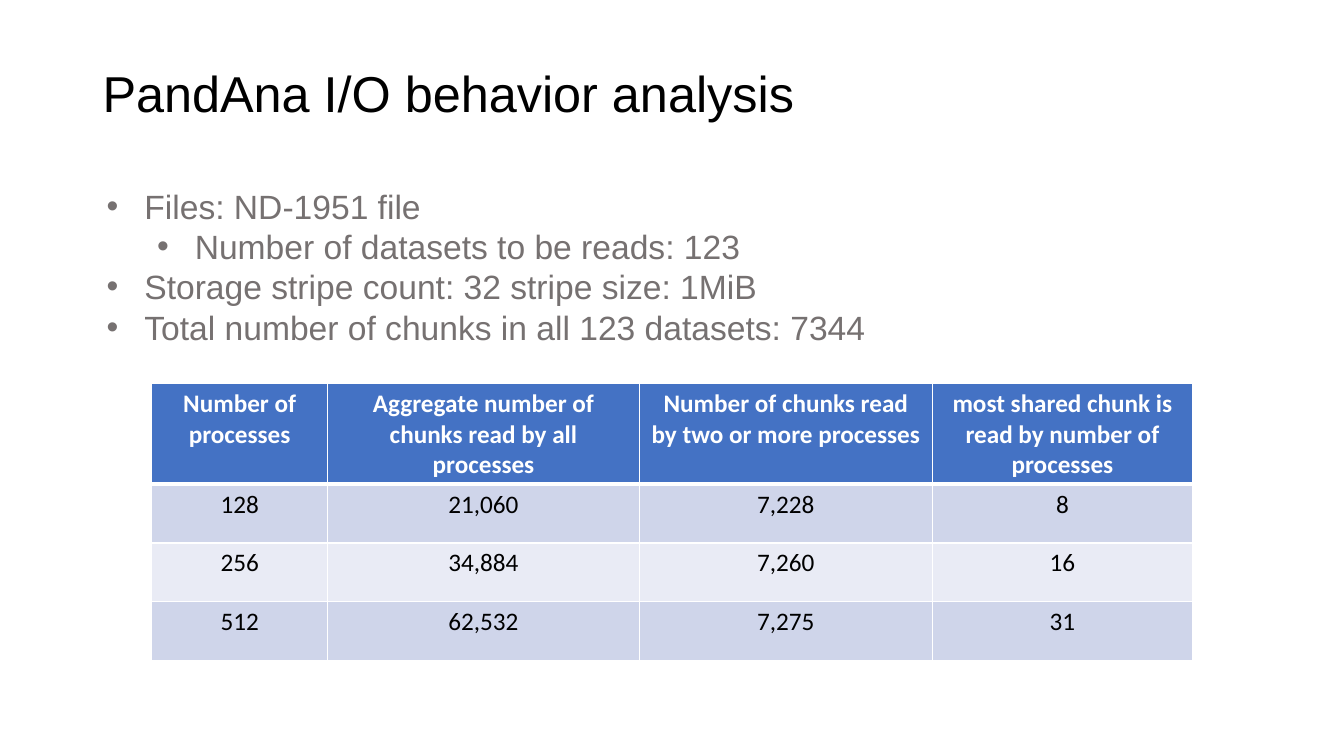
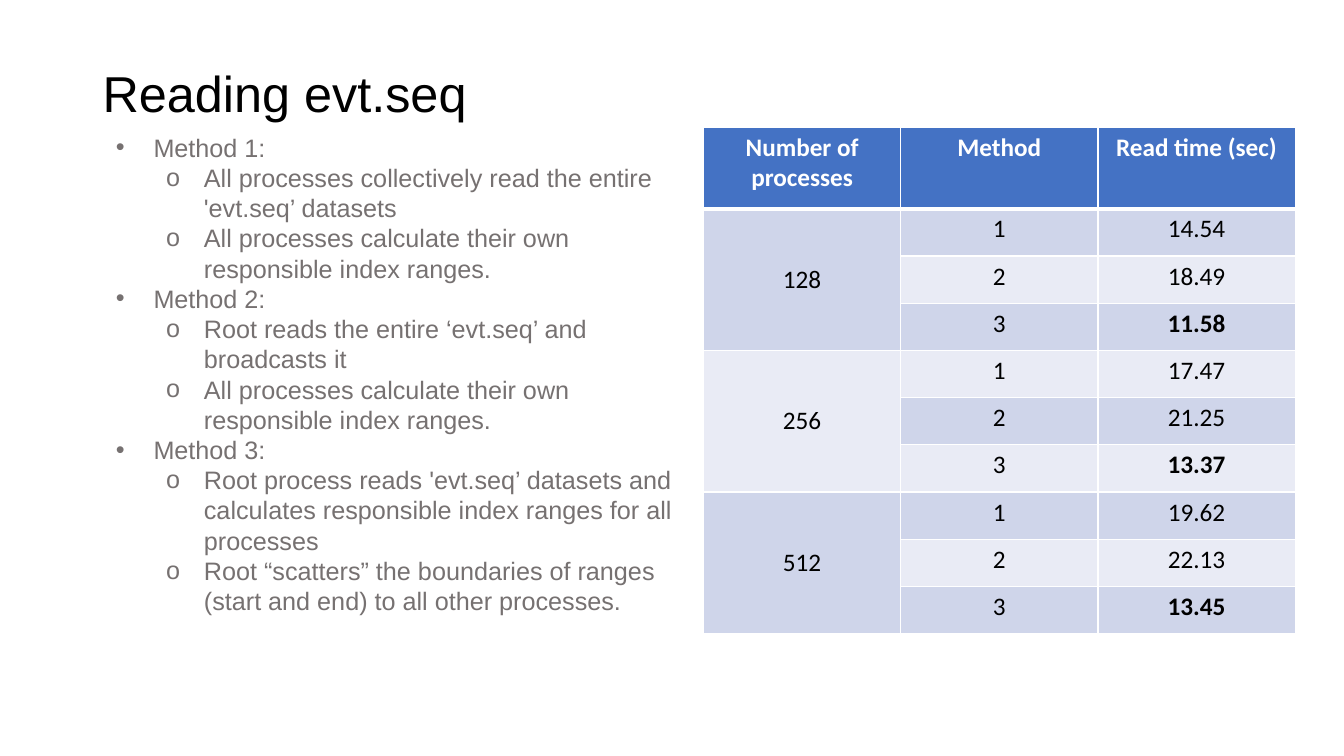
from dataclasses import dataclass

from lxml.etree import SubElement
from pptx import Presentation
from pptx.dml.color import RGBColor
from pptx.enum.text import MSO_ANCHOR, MSO_AUTO_SIZE, PP_ALIGN
from pptx.oxml.ns import qn
from pptx.util import Cm, Pt


@dataclass(frozen=True)
class Theme:
    black: RGBColor = RGBColor(0x00, 0x00, 0x00)
    white: RGBColor = RGBColor(0xFF, 0xFF, 0xFF)
    grey: RGBColor = RGBColor(0x76, 0x71, 0x71)
    header: RGBColor = RGBColor(0x44, 0x72, 0xC4)
    dark_band: RGBColor = RGBColor(0xCF, 0xD5, 0xEA)
    light_band: RGBColor = RGBColor(0xE9, 0xEB, 0xF5)
    text_font: str = "Arial"
    table_font: str = "Calibri"
    title_size: Pt = Pt(36)
    large_size: Pt = Pt(24)
    body_size: Pt = Pt(18)
    thin_line: Pt = Pt(1)
    thick_line: Pt = Pt(3)


theme = Theme()


def set_format(target, color=None, **values):
    for name, value in values.items():
        setattr(target, name, value)
    if color is not None:
        target.color.rgb = color


def add_styled_table(page, left, top, widths, heights, rows):
    table = page.shapes.add_table(
        len(rows), len(widths), Cm(left), Cm(top), Cm(sum(widths)), Cm(sum(heights))
    ).table
    table.horz_banding = False
    for column, width in zip(table.columns, widths):
        column.width = Cm(width)
    for index, (row, height, texts) in enumerate(zip(table.rows, heights, rows)):
        row.height = Cm(height)
        is_header = index == 0
        band = theme.dark_band if index % 2 else theme.light_band
        borders = {
            "a:lnL": theme.thin_line,
            "a:lnR": theme.thin_line,
            "a:lnT": theme.thick_line if index == 1 else theme.thin_line,
            "a:lnB": theme.thick_line if is_header else theme.thin_line,
        }
        for cell, text in zip(row.cells, texts):
            properties = cell._tc.get_or_add_tcPr()
            for tag, width in borders.items():
                line = SubElement(properties, qn(tag), w=str(int(width)))
                fill = SubElement(line, qn("a:solidFill"))
                SubElement(fill, qn("a:srgbClr"), val=str(theme.white))
            cell.fill.solid()
            cell.fill.fore_color.rgb = theme.header if is_header else band
            cell.text = text
            para = cell.text_frame.paragraphs[0]
            para.alignment = PP_ALIGN.CENTER
            for span in para.runs:
                set_format(
                    span.font,
                    name=theme.table_font,
                    size=theme.body_size,
                    bold=is_header,
                    color=theme.white if is_header else theme.black,
                )
    return table


slides = [
    {
        "title": "PandAna I/O behavior analysis",
        "place": (1.17, 4.55, 27.03, 4.37),
        "size": theme.large_size,
        "bullets": "••",
        "items": [
            (0, "Files: ND-1951 file"),
            (1, "Number of datasets to be reads: 123"),
            (0, "Storage stripe count: 32 stripe size: 1MiB"),
            (0, "Total number of chunks in all 123 datasets: 7344"),
        ],
    },
    {
        "title": "Reading evt.seq",
        "place": (1.4, 3.2, 16.33, 12.57),
        "size": theme.body_size,
        "bullets": "•o",
        "items": [
            (0, "Method 1:"),
            (1, "All processes collectively read the entire 'evt.seq’ datasets"),
            (1, "All processes calculate their own responsible index ranges."),
            (0, "Method 2:"),
            (1, "Root reads the entire ‘evt.seq’ and broadcasts it"),
            (1, "All processes calculate their own responsible index ranges."),
            (0, "Method 3:"),
            (1, "Root process reads 'evt.seq’ datasets and calculates "
                "responsible index ranges for all processes"),
            (1, "Root “scatters” the boundaries of ranges (start and end) "
                "to all other processes."),
        ],
    },
]

deck = Presentation()
set_format(deck, slide_width=Cm(33.87), slide_height=Cm(19.05))
pages = []

for content in slides:
    page = deck.slides.add_slide(deck.slide_layouts[5])
    pages.append(page)

    title = page.shapes.title
    set_format(title, left=Cm(2.33), top=Cm(1.01), width=Cm(29.21), height=Cm(2.82))
    title.text_frame.text = content["title"]
    set_format(
        title.text_frame,
        vertical_anchor=MSO_ANCHOR.MIDDLE,
        auto_size=MSO_AUTO_SIZE.NONE,
        word_wrap=True,
    )
    para = title.text_frame.paragraphs[0]
    set_format(para, alignment=PP_ALIGN.LEFT, line_spacing=0.9)
    set_format(
        para.runs[0].font, name=theme.text_font, size=theme.title_size, color=theme.black
    )

    box = page.shapes.add_textbox(*[Cm(length) for length in content["place"]])
    box.text_frame.word_wrap = True
    box.text_frame.text = "\n".join(text for level, text in content["items"])
    for para, (level, text) in zip(box.text_frame.paragraphs, content["items"]):
        para.level = level + 1
        properties = para._p.get_or_add_pPr()
        properties.set("marL", str(int(Cm(2.22 + 1.27 * level))))
        properties.set("indent", str(int(Cm(-0.95))))
        SubElement(properties, qn("a:buFont"), typeface=theme.text_font)
        SubElement(properties, qn("a:buChar"), char=content["bullets"][level])
        set_format(
            para.runs[0].font,
            name=theme.text_font,
            size=content["size"],
            color=theme.grey,
        )

analysis_page, reading_page = pages

add_styled_table(
    analysis_page,
    3.82,
    9.66,
    [4.44, 7.85, 7.39, 6.55],
    [2.54] + [1.48] * 3,
    [
        (
            "Number of processes",
            "Aggregate number of chunks read by all processes",
            "Number of chunks read by two or more processes",
            "most shared chunk is read by number of processes",
        ),
        ("128", "21,060", "7,228", "8"),
        ("256", "34,884", "7,260", "16"),
        ("512", "62,532", "7,275", "31"),
    ],
)

read_times = {
    "128": [14.54, 18.49, 11.58],
    "256": [17.47, 21.25, 13.37],
    "512": [19.62, 22.13, 13.45],
}
time_rows = [("Number of processes", "Method", "Read time (sec)")]
for processes, times in read_times.items():
    for method, seconds in enumerate(times, 1):
        time_rows.append((processes if method == 1 else "", str(method), f"{seconds:.2f}"))

time_table = add_styled_table(
    reading_page, 17.73, 3.2, [4.97] * 3, [2.06] + [1.19] * 9, time_rows
)
for group, times in enumerate(read_times.values()):
    first = 1 + group * len(times)
    process_cell = time_table.cell(first, 0)
    process_cell.merge(time_table.cell(first + len(times) - 1, 0))
    process_cell.vertical_anchor = MSO_ANCHOR.MIDDLE
    fastest = time_table.cell(first + times.index(min(times)), 2)
    fastest.text_frame.paragraphs[0].runs[0].font.bold = True

deck.save("out.pptx")
